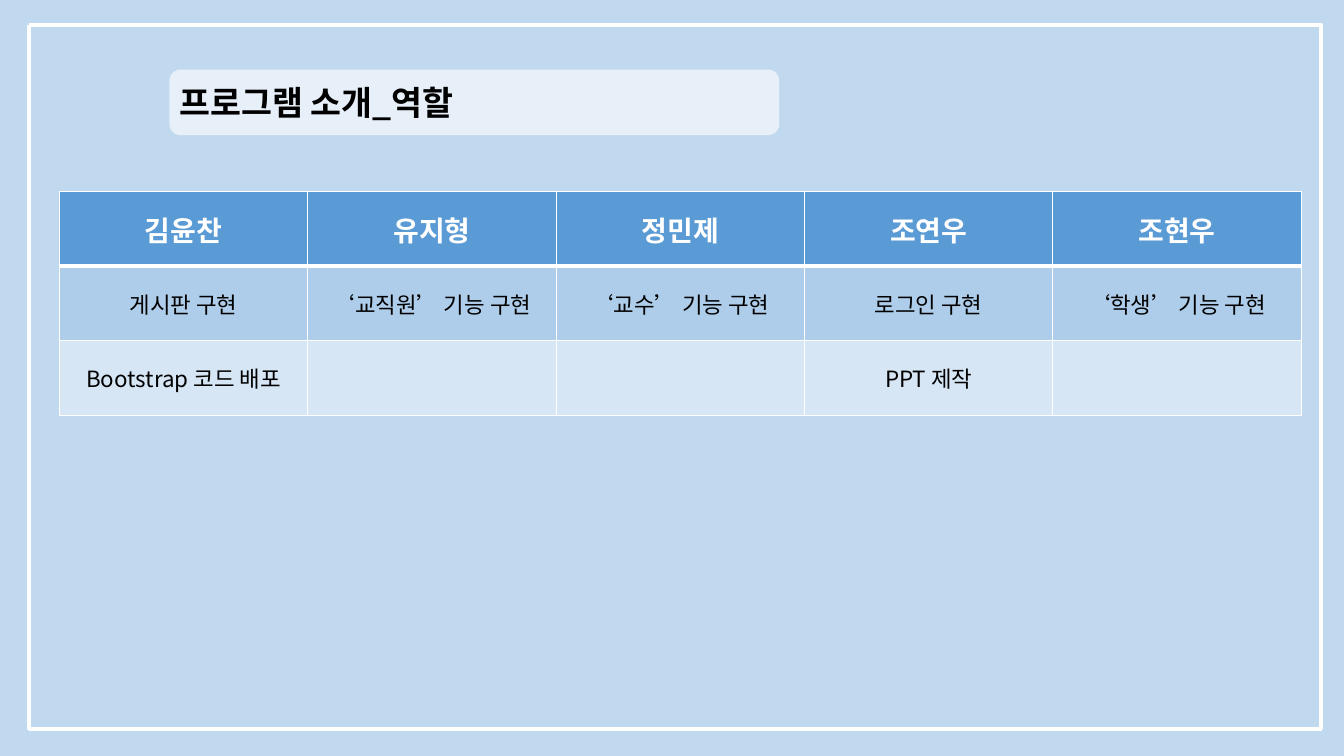
from lxml.etree import SubElement
from pptx import Presentation
from pptx.dml.color import RGBColor
from pptx.enum.shapes import MSO_CONNECTOR, MSO_SHAPE
from pptx.enum.text import MSO_ANCHOR, MSO_AUTO_SIZE, PP_ALIGN
from pptx.oxml import parse_xml
from pptx.oxml.ns import nsdecls, qn
from pptx.util import Pt

FONT = "Noto Sans CJK KR"
WHITE = RGBColor(0xFF, 0xFF, 0xFF)
BLACK = RGBColor(0x00, 0x00, 0x00)
SKY = RGBColor(0xC1, 0xD9, 0xEF)
ROW_FILLS = [
    RGBColor(0x5B, 0x9B, 0xD5),
    RGBColor(0xAE, 0xCD, 0xEA),
    RGBColor(0xD6, 0xE6, 0xF5),
]
ROLES = [
    ["김윤찬", "유지형", "정민제", "조연우", "조현우"],
    ["게시판 구현", "‘교직원’ 기능 구현", "‘교수’ 기능 구현", "로그인 구현", "‘학생’ 기능 구현"],
    ["Bootstrap 코드 배포", "", "", "PPT 제작", ""],
]
COLUMN_WIDTH, ROW_HEIGHT = 177.4, 53.3


def write_text(frame, text, size=16, color=BLACK, bold=False, align=PP_ALIGN.LEFT):
    """Write one formatted line into a text frame."""
    para = frame.paragraphs[0]
    para.alignment = align
    span = para.add_run()
    span.text = text
    span.font.size = Pt(size)
    span.font.bold = bold
    span.font.color.rgb = color
    span.font.name = FONT
    SubElement(span.font._element, qn("a:ea"), typeface=FONT)


def add_frame_corner(page, bend):
    """Draw two sides of the frame, turning at the given share of its width."""
    corner = page.shapes.add_connector(
        MSO_CONNECTOR.ELBOW, Pt(20.9), Pt(18), Pt(944.6), Pt(520.6)
    )
    corner.line.color.rgb = WHITE
    corner.line.width = Pt(3)
    properties = corner._element.spPr
    guides = properties.find(qn("a:prstGeom")).get_or_add_avLst()
    SubElement(guides, qn("a:gd"), name="adj1", fmla=f"val {bend}")
    SubElement(properties, qn("a:effectLst"))


def add_title(page, text):
    """Add the translucent rounded plate and the title over it."""
    left, width = Pt(121), Pt(435.6)
    plate = page.shapes.add_shape(
        MSO_SHAPE.ROUNDED_RECTANGLE, left, Pt(49.7), width, Pt(46.8)
    )
    plate.shadow.inherit = False
    plate.fill.solid()
    plate.fill.fore_color.rgb = WHITE
    plate.line.fill.background()
    color = plate._element.spPr.find(qn("a:solidFill"))[0]
    SubElement(color, qn("a:alpha"), val="62000")
    box = page.shapes.add_textbox(left, Pt(54.7), width, Pt(35.3))
    box.text_frame.word_wrap = True
    box.text_frame.auto_size = MSO_AUTO_SIZE.SHAPE_TO_FIT_TEXT
    write_text(box.text_frame, text, size=24, bold=True)


def set_borders(cell, top, bottom):
    """Give a cell white borders, with the top and bottom widths in points."""
    properties = cell._tc.get_or_add_tcPr()
    widths = {"lnL": 1, "lnR": 1, "lnT": top, "lnB": bottom}
    for index, (side, width) in enumerate(widths.items()):
        border = parse_xml(
            f'<a:{side} {nsdecls("a")} w="{Pt(width)}"><a:solidFill>'
            f'<a:srgbClr val="{WHITE}"/></a:solidFill></a:{side}>'
        )
        properties.insert(index, border)


def add_role_table(page):
    """Add the table of members and their roles."""
    columns, rows = len(ROLES[0]), len(ROLES)
    table = page.shapes.add_table(
        rows, columns, Pt(42.5), Pt(136.8),
        Pt(COLUMN_WIDTH * columns), Pt(ROW_HEIGHT * rows),
    ).table
    for row, texts in enumerate(ROLES):
        header = row == 0
        for column, text in enumerate(texts):
            cell = table.cell(row, column)
            cell.fill.solid()
            cell.fill.fore_color.rgb = ROW_FILLS[row]
            cell.vertical_anchor = MSO_ANCHOR.MIDDLE
            set_borders(cell, top=3 if row == 1 else 1, bottom=3 if header else 1)
            if text:
                write_text(
                    cell.text_frame, text, size=20 if header else 16, bold=header,
                    color=WHITE if header else BLACK, align=PP_ALIGN.CENTER,
                )


def main():
    """Build the slide and save it."""
    deck = Presentation()
    deck.slide_width, deck.slide_height = Pt(960), Pt(540)
    page = deck.slides.add_slide(deck.slide_layouts[6])
    page.background.fill.solid()
    page.background.fill.fore_color.rgb = SKY
    for bend in (99900, 0):
        add_frame_corner(page, bend)
    add_title(page, "프로그램 소개_역할")
    add_role_table(page)
    deck.save("out.pptx")


if __name__ == "__main__":
    main()
